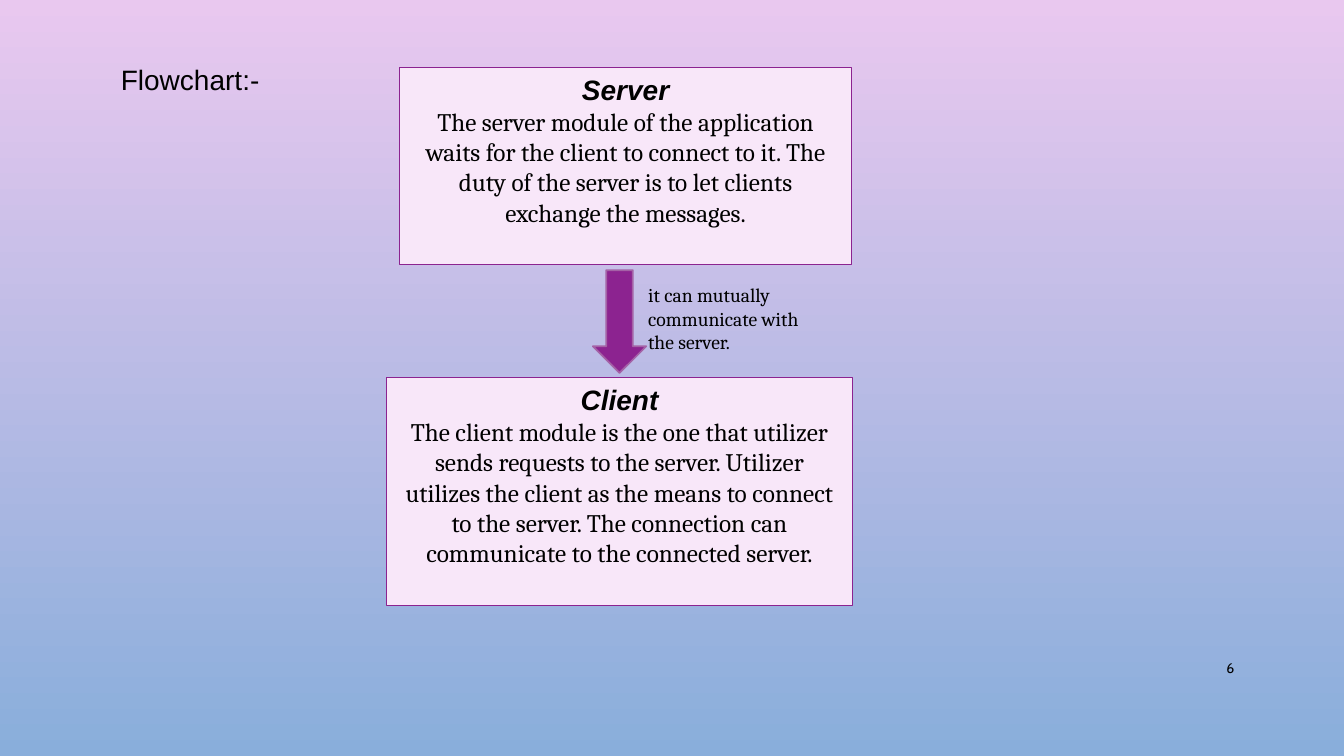
from pptx import Presentation
from pptx import util as u
from pptx.dml.color import RGBColor
from pptx.enum import shapes, text

COLOURS = {
    "sky_top": "E9C8EF",
    "sky_bottom": "89AEDB",
    "panel": "F8E7F9",
    "purple": "8C2390",
    "arrow_edge": "A462A6",
    "ink": "000000",
}
SERVER = (
    "The server module of the application waits for the client to connect to it. "
    "The duty of the server is to let clients exchange the messages."
)
CLIENT = (
    "The client module is the one that utilizer sends requests to the server. "
    "Utilizer utilizes the client as the means to connect to the server. "
    "The connection can communicate to the connected server."
)


def colour(name):
    """Return the named colour."""
    return RGBColor.from_string(COLOURS[name])


def inches(box):
    """Turn left, top, width and height into lengths."""
    return [u.Inches(side) for side in box]


def write(paragraph, words, size, font, align=text.PP_ALIGN.LEFT, strong=False):
    """Add one run to a paragraph and style it."""
    paragraph.alignment = align
    run = paragraph.add_run()
    run.text = words
    run.font.size = u.Pt(size)
    run.font.name = font
    run.font.bold = run.font.italic = strong
    run.font.color.rgb = colour("ink")


def paint_background(slide):
    """Fill the slide with a vertical gradient."""
    fill = slide.background.fill
    fill.gradient()
    fill.gradient_angle = 270
    for stop, name in zip(fill.gradient_stops, ("sky_top", "sky_bottom")):
        stop.color.rgb = colour(name)


def add_block(slide, kind, box, fill, edge, weight):
    """Draw a filled and outlined shape in the box."""
    block = slide.shapes.add_shape(kind, *inches(box))
    block.shadow.inherit = False
    block.fill.solid()
    block.fill.fore_color.rgb = colour(fill)
    block.line.color.rgb = colour(edge)
    block.line.width = u.Pt(weight)
    return block


def add_module(slide, box, title, description):
    """Draw a module panel with its title and description."""
    panel = add_block(slide, shapes.MSO_SHAPE.RECTANGLE, box, "panel", "purple", 0.75)
    frame = panel.text_frame
    frame.word_wrap = True
    frame.vertical_anchor = text.MSO_ANCHOR.TOP
    centre = text.PP_ALIGN.CENTER
    write(frame.paragraphs[0], title, 20, "Arial", centre, strong=True)
    write(frame.add_paragraph(), description, 18, "Cambria", centre)


def add_label(slide, box, words, size, font, align=text.PP_ALIGN.LEFT,
              anchor=text.MSO_ANCHOR.TOP):
    """Place a single paragraph of text in the box."""
    frame = slide.shapes.add_textbox(*inches(box)).text_frame
    frame.word_wrap = True
    frame.vertical_anchor = anchor
    write(frame.paragraphs[0], words, size, font, align)


def add_exchange(slide, box):
    """Draw the down arrow at the left of the box and its caption beside it."""
    left, top, width, height = box
    arrow = (left, top, 0.53, height)
    add_block(slide, shapes.MSO_SHAPE.DOWN_ARROW, arrow, "purple", "arrow_edge", 1.25)
    caption = (left + 0.45, top + 0.08, width - 0.45, 0.81)
    add_label(slide, caption, "it can mutually communicate with the server.", 14, "Cambria")


def build_flowchart(slide):
    """Lay out the heading, the two modules and the link between them."""
    paint_background(slide)
    add_module(slide, (3.96, 0.67, 4.49, 1.95), "Server", SERVER)
    add_exchange(slide, (5.88, 2.68, 2.14, 1.02))
    add_label(slide, (1.1, 0.57, 1.96, 0.44), "Flowchart:-", 20, "Arial")
    add_module(slide, (3.83, 3.75, 4.63, 2.26), "Client", CLIENT)
    add_label(slide, (11.5, 6.43, 0.84, 0.4), "6", 10, "Cabin",
              text.PP_ALIGN.RIGHT, text.MSO_ANCHOR.MIDDLE)


def main():
    """Build and save the presentation."""
    deck = Presentation()
    deck.slide_width = u.Inches(13.33)
    deck.slide_height = u.Inches(7.5)
    build_flowchart(deck.slides.add_slide(deck.slide_layouts[6]))
    deck.save("out.pptx")


if __name__ == "__main__":
    main()
